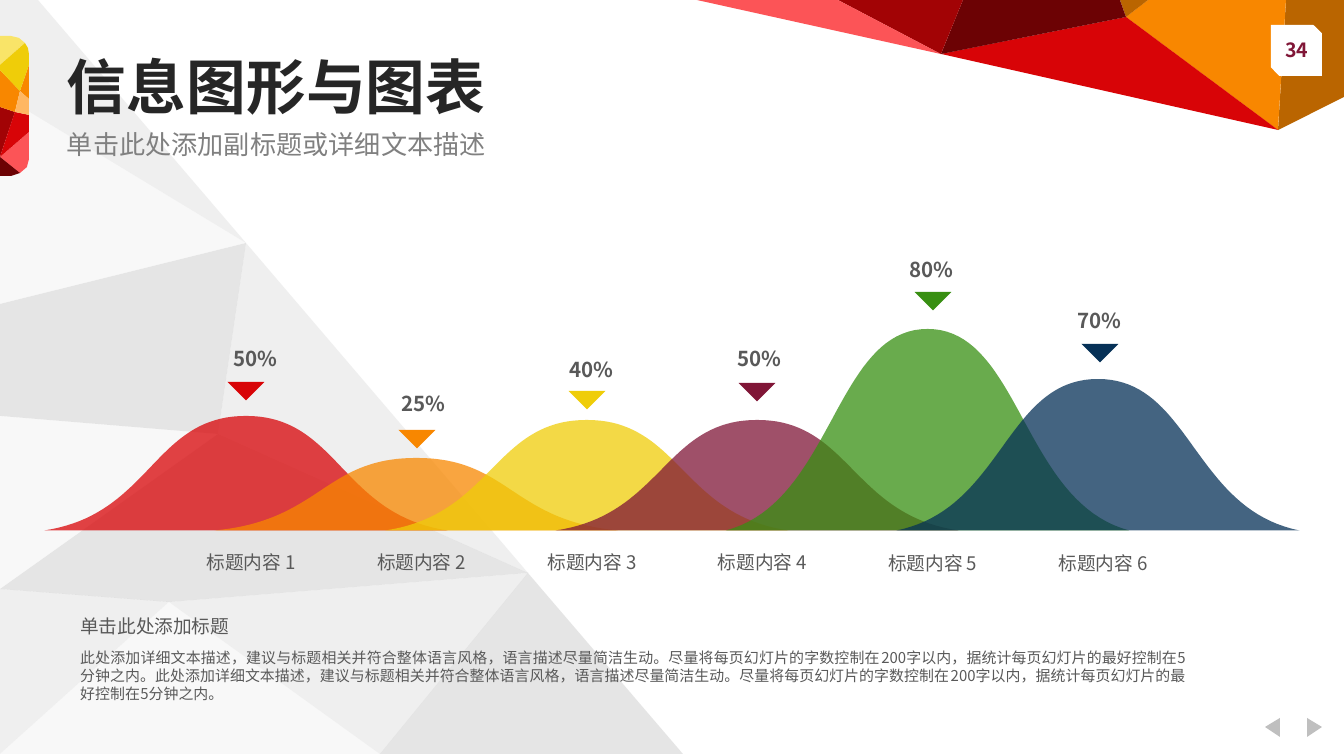
from lxml.etree import SubElement
from pptx import Presentation
from pptx.dml.color import RGBColor
from pptx.enum.shapes import MSO_SHAPE as Preset
from pptx.enum.text import MSO_ANCHOR as Anchor, MSO_AUTO_SIZE as AutoSize, PP_ALIGN as Align
from pptx.oxml.ns import qn
from pptx.util import Pt

# Scale and style
PX = 914400 / 134.4
WIDTH, HEIGHT = 1344, 756
FONT = "Noto Sans CJK SC"
COLORS = {
    "white": "FFFFFF", "pale": "F2F2F2", "light": "D9D9D9", "mid": "BFBFBF",
    "title": "262626", "subtitle": "808080", "text": "595959",
    "red": "D80407", "crimson": "A20305", "maroon": "6C0204", "coral": "FC5457",
    "orange": "F88700", "peach": "FFB762", "brown": "BA6500",
    "yellow": "EFCD09", "lemon": "F9E468",
    "plum": "801637", "green": "388F12", "navy": "063157",
}

# Content
TITLE = "信息图形与图表"
SUBTITLE = "单击此处添加副标题或详细文本描述"
PAGE = "34"
NOTE_TITLE = "单击此处添加标题"
NOTE = (
    "此处添加详细文本描述，建议与标题相关并符合整体语言风格，语言描述尽量简洁生动。"
    "尽量将每页幻灯片的字数控制在200字以内，据统计每页幻灯片的最好控制在5分钟之内。"
) * 2
# label, label top, colour, bell top, marker centre, marker top, percent, its left and top
BELLS = [
    ("标题内容 1", 544, "red", 416, 246, 382, "50%", 220, 339),
    ("标题内容 2", 544, "orange", 458, 417, 430, "25%", 388, 384),
    ("标题内容 3", 544, "yellow", 420, 587, 391, "40%", 556, 350),
    ("标题内容 4", 544, "plum", 420, 757, 383, "50%", 724, 339),
    ("标题内容 5", 545, "green", 329, 933, 292, "80%", 896, 250),
    ("标题内容 6", 545, "navy", 379, 1100, 344, "70%", 1064, 301),
]
BASELINE, HALF_WIDTH = 530.5, 201.6
FIRST_CENTRE, BELL_STEP = 246, 170.4

# Backdrop: shared corners, then facets with opacity in percent
BACK = {
    "A": (169, 602), "B": (380, 754), "C": (0, 754), "D": (0, 589), "E": (528, 573),
    "F": (218, 434), "G": (246, 243), "H": (0, 416), "I": (0, 304), "J": (0, 94),
    "K": (0, 0), "L": (38, 0), "M": (683, 754),
}
BACK_FACETS = [
    ("ABC", "pale", 50), ("ACD", "light", 40), ("BAE", "light", 40),
    ("EADF", "mid", 40), ("EFG", "light", 40), ("FDH", "pale", 50),
    ("FHIG", "mid", 40), ("GIJ", "pale", 50), ("GJKL", "light", 40),
    ("BEM", "mid", 40),
]
CORNER = {
    "A": (1286, 0), "B": (1344, 0), "C": (1344, 97), "D": (1278, 130), "E": (1148, 0),
    "F": (1126, 17), "G": (941, 54), "H": (1120, 0), "I": (963, 0), "J": (838, 0),
    "K": (697, 0),
}
CORNER_FACETS = [
    ("ABCD", "brown", 100), ("DAEF", "orange", 100), ("DFG", "red", 100),
    ("FEH", "brown", 100), ("FHIG", "maroon", 100), ("GIJ", "crimson", 100),
    ("GJK", "coral", 100),
]
GEM = {
    "A": (0, 36), "B": (11, 36), "C": (19, 38), "D": (25, 43), "E": (28, 48),
    "F": (29, 54), "G": (29, 65), "H": (29, 99), "I": (29, 115), "J": (29, 132),
    "K": (29, 159), "L": (27, 167), "M": (20, 173), "N": (11, 176), "O": (0, 176),
    "P": (0, 157), "Q": (0, 107), "R": (0, 70), "S": (0, 65), "T": (20, 91),
    "U": (15, 112),
}
GEM_FACETS = [
    ("JPMLK", "coral", 100), ("UQP", "crimson", 100), ("UPJI", "red", 100),
    ("MPON", "maroon", 100), ("SDCBA", "lemon", 100), ("GTH", "orange", 100),
    ("UTRQ", "orange", 100), ("RTGFEDS", "yellow", 100), ("HTUI", "peach", 100),
]
NAV_ARROWS = [
    [(1322, 727), (1307, 737), (1307, 718)],
    [(1265, 727), (1280, 718), (1280, 737)],
]


def emu(length):
    return round(length * PX)


def paint(shape, color, opacity=100):
    shape.shadow.inherit = False
    shape.line.fill.background()
    shape.fill.solid()
    shape.fill.fore_color.rgb = RGBColor.from_string(COLORS[color])
    if opacity < 100:
        srgb = shape.element.spPr.find(qn("a:solidFill"))[0]
        SubElement(srgb, qn("a:alpha"), val=str(opacity * 1000))


def polygon(points, color, opacity=100):
    start, *rest = [(emu(x), emu(y)) for x, y in points]
    builder = slide.shapes.build_freeform(*start)
    builder.add_line_segments(rest, close=True)
    paint(builder.convert_to_shape(), color, opacity)


def facets(corners, pieces):
    for letters, color, opacity in pieces:
        polygon([corners[letter] for letter in letters], color, opacity)


def bell_points(centre, top, steps=40):
    """Right flank as a cubic curve from peak to base, mirrored to the left."""
    flank = []
    for i in range(steps + 1):
        t = i / steps
        b1, b2, b3 = 3 * t * (1 - t) ** 2, 3 * t * t * (1 - t), t ** 3
        across = 0.46 * b1 + 0.47 * b2 + b3
        up = (1 - t) ** 3 + b1 + 0.14 * b2
        flank.append((across * HALF_WIDTH, BASELINE - up * (BASELINE - top)))
    left = [(centre - dx, y) for dx, y in reversed(flank[1:])]
    return left + [(centre + dx, y) for dx, y in flank]


def write(shape, box, words, size, color, bold=False, align=Align.LEFT, inset=True, leading=1.2):
    shape.left, shape.top, shape.width, shape.height = map(emu, box)
    frame = shape.text_frame
    frame.word_wrap = True
    frame.auto_size = AutoSize.NONE
    frame.vertical_anchor = Anchor.TOP
    if not inset:
        frame.margin_left = frame.margin_right = frame.margin_top = frame.margin_bottom = 0
    paragraph = frame.paragraphs[0]
    paragraph.alignment = align
    paragraph.space_before = Pt(0)
    paragraph.line_spacing = Pt(round(size * leading, 1))
    run = paragraph.add_run()
    run.text = words
    run.font.size, run.font.bold, run.font.name = Pt(size), bold, FONT
    run.font.color.rgb = RGBColor.from_string(COLORS[color])
    SubElement(run.font._element, qn("a:ea"), typeface=FONT)


def text(box, *args, **options):
    write(slide.shapes.add_textbox(0, 0, 0, 0), box, *args, **options)


deck = Presentation()
deck.slide_width, deck.slide_height = emu(WIDTH), emu(HEIGHT)
slide = deck.slides.add_slide(deck.slide_layouts[5])

# Backdrop, navigation arrows and corner
facets(BACK, BACK_FACETS)
for arrow in NAV_ARROWS:
    polygon(arrow, "mid")
facets(CORNER, CORNER_FACETS)

# Page number
badge = slide.shapes.add_shape(Preset.SNIP_2_DIAG_RECTANGLE, *map(emu, (1271, 25, 51, 51)))
paint(badge, "white")
text((1265, 31, 63, 38), PAGE, 10.5, "plum", bold=True, align=Align.CENTER)

# Title, brought in front of the backdrop, and subtitle
title = slide.shapes.title
title.element.getparent().append(title.element)
write(title, (67, 58, 706, 59), TITLE, 32, "title", bold=True, inset=False, leading=1.07)
text((67, 132, 430, 26), SUBTITLE, 14, "subtitle", inset=False, leading=1.07)
facets(GEM, GEM_FACETS)

# Bells with their labels
for i, (label, label_top, color, top, *_) in enumerate(BELLS):
    centre = FIRST_CENTRE + i * BELL_STEP
    polygon(bell_points(centre, top), color, 75)
    text((centre - 52.5, label_top, 132, 36), label, 10, "text")

# Markers and percentages
for _, _, color, _, marker, marker_top, percent, left, top in BELLS:
    polygon([(marker - 18.5, marker_top), (marker + 18.5, marker_top),
             (marker, marker_top + 18.5)], color)
    text((left, top, 75, 38), percent, 11, "text", bold=True)

# Note
text((67, 608, 689, 36), NOTE_TITLE, 10, "text")
text((67, 642, 1132, 67), NOTE, 8, "text", align=Align.JUSTIFY)

deck.save("out.pptx")
